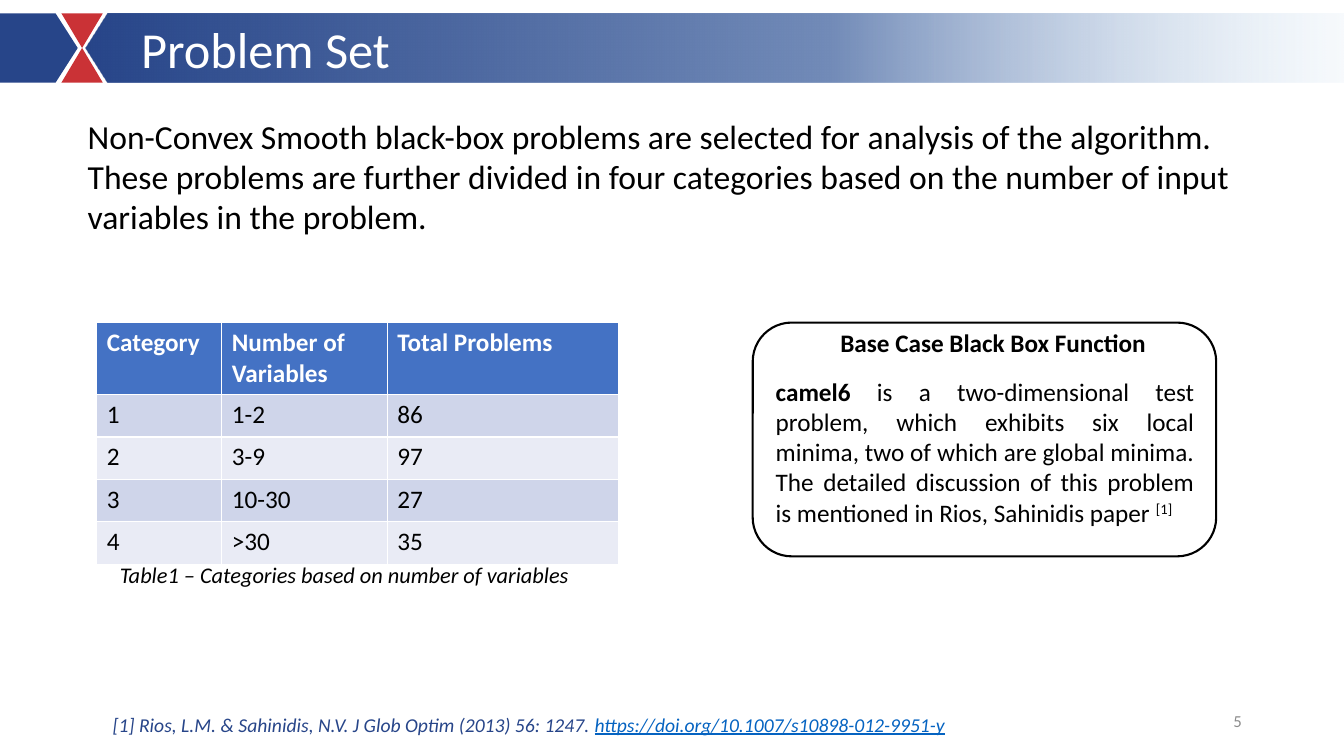
from pptx import Presentation
from pptx.dml.color import RGBColor
from pptx.enum.shapes import MSO_SHAPE as SHAPE
from pptx.enum.text import MSO_ANCHOR as ANCHOR, PP_ALIGN as ALIGN
from pptx.oxml import parse_xml
from pptx.util import Cm, Pt

FONT = "Calibri"
NAVY, RED, BLACK, WHITE = "274589", "CA3236", "000000", "FFFFFF"
HEADER, BANDS = "4472C4", ("CFD5EA", "E9EBF5")
BAR_TOP, BAR_HEIGHT = 0.34, 1.74
STOPS = ((0, NAVY, 100), (59, "728BB8", 100), (100, "CEE1F2", 16))
ROWS = (
    ("Category", "Number of Variables", "Total Problems"),
    ("1", "1-2", "86"),
    ("2", "3-9", "97"),
    ("3", "10-30", "27"),
    ("4", ">30", "35"),
)


def rgb(hex_color):
    """Turn a hex string into a colour."""
    return RGBColor.from_string(hex_color)


def style(p, size, color=BLACK, bold=False, italic=False, align=ALIGN.LEFT):
    """Set the font and alignment of a paragraph."""
    p.alignment = align
    p.font.name, p.font.size = FONT, Pt(size)
    p.font.bold, p.font.italic = bold, italic
    p.font.color.rgb = rgb(color)


def add_text(slide, box, text, size, anchor=ANCHOR.TOP, **look):
    """Add a wrapping text box and return its paragraph."""
    tf = slide.shapes.add_textbox(*map(Cm, box)).text_frame
    tf.word_wrap, tf.vertical_anchor = True, anchor
    p = tf.paragraphs[0]
    p.text = text
    style(p, size, **look)
    return p


def add_run(p, text):
    """Append a run and return its font."""
    r = p.add_run()
    r.text = text
    return r.font


def add_shape(slide, kind, box, fill=None, line=None):
    """Add a preset shape with an optional fill and outline."""
    sp = slide.shapes.add_shape(kind, *map(Cm, box))
    sp.shadow.inherit = False
    if fill:
        sp.fill.solid()
        sp.fill.fore_color.rgb = rgb(fill)
    else:
        sp.fill.background()
    if line:
        sp.line.color.rgb, sp.line.width = rgb(line), Pt(1.5)
    else:
        sp.line.fill.background()
    return sp


def set_gradient(sp, stops, angle):
    """Replace a shape's empty fill with a linear gradient."""
    gs = "".join(
        f'<a:gs pos="{pos * 1000}"><a:srgbClr val="{color}">'
        f'<a:alpha val="{alpha * 1000}"/></a:srgbClr></a:gs>'
        for pos, color, alpha in stops
    )
    grad = parse_xml(
        '<a:gradFill xmlns:a="http://schemas.openxmlformats.org/drawingml/2006/main"'
        f' rotWithShape="1"><a:gsLst>{gs}</a:gsLst>'
        f'<a:lin ang="{angle * 60000}" scaled="0"/></a:gradFill>'
    )
    sp_pr = sp._element.spPr
    sp_pr.replace(sp_pr.find("{*}noFill"), grad)


def add_title_bar(slide, title):
    """Add the hourglass emblem and the title arrows beside it."""
    add_shape(slide, SHAPE.FLOWCHART_COLLATE, (1.55, BAR_TOP, 1.04, BAR_HEIGHT), RED)
    left = add_shape(slide, SHAPE.PENTAGON, (0, BAR_TOP, 1.96, BAR_HEIGHT), NAVY)
    bar = add_shape(slide, SHAPE.PENTAGON, (2.16, BAR_TOP, 31.71, BAR_HEIGHT))
    for sp in (left, bar):
        sp.adjustments[0] = 0.32
    bar._element.spPr.xfrm.set("flipH", "1")
    set_gradient(bar, STOPS, 180)
    tf = bar.text_frame
    tf.margin_left, tf.vertical_anchor = Cm(1.12), ANCHOR.MIDDLE
    tf.text = title
    style(tf.paragraphs[0], 36, WHITE)


def add_category_table(slide):
    """Add the banded table of problem categories."""
    table = slide.shapes.add_table(
        len(ROWS), len(ROWS[0]), Cm(2.44), Cm(8.13), Cm(13.16), Cm(6.09)
    ).table
    for column, width in zip(table.columns, (3.15, 4.17, 5.84)):
        column.width = Cm(width)
    for i, values in enumerate(ROWS):
        head = i == 0
        table.rows[i].height = Cm(1.81 if head else 1.07)
        for cell, value in zip(table.rows[i].cells, values):
            cell.text = value
            cell.fill.solid()
            cell.fill.fore_color.rgb = rgb(HEADER if head else BANDS[(i - 1) % 2])
            style(cell.text_frame.paragraphs[0], 18, WHITE if head else BLACK, bold=head)


def add_base_case(slide):
    """Add the rounded panel that describes the base case function."""
    p = add_text(slide, (19.3, 9.35, 11.05, 4.11), "", 18, align=ALIGN.JUSTIFY)
    add_run(p, "camel6").bold = True
    add_run(p, " is a two-dimensional test problem, which exhibits six local minima, "
               "two of which are global minima. The detailed discussion of this "
               "problem is mentioned in Rios, Sahinidis paper ")
    add_run(p, "[1]")._element.set("baseline", "30000")
    add_shape(slide, SHAPE.ROUNDED_RECTANGLE, (18.97, 8.13, 11.68, 5.89), line=BLACK)
    add_text(slide, (20.93, 8.13, 11.05, 1.02), "Base Case Black Box Function", 18,
             bold=True, align=ALIGN.JUSTIFY)


def add_reference(slide):
    """Add the cited paper with its underlined address."""
    p = add_text(slide, (2.59, 17.83, 21.8, 1.1),
                 "[1] Rios, L.M. & Sahinidis, N.V. J Glob Optim (2013) 56: 1247. ",
                 14, color=NAVY, italic=True)
    font = add_run(p, "https://doi.org/10.1007/s10898-012-9951-y")
    font.underline, font.color.rgb = True, rgb("0563C1")


def main():
    """Build the slide and save it."""
    prs = Presentation()
    prs.slide_width, prs.slide_height = Cm(33.87), Cm(19.05)
    slide = prs.slides.add_slide(prs.slide_layouts[6])
    add_category_table(slide)
    add_base_case(slide)
    add_text(slide, (2.77, 14.02, 12, 0.94),
             "Table1 – Categories based on number of variables", 16, italic=True)
    add_reference(slide)
    add_title_bar(slide, "Problem Set")
    add_text(slide, (1.96, 2.79, 29.97, 4.37),
             "Non-Convex Smooth black-box problems are selected for analysis of the "
             "algorithm. These problems are further divided in four categories based "
             "on the number of input variables in the problem.", 24)
    add_text(slide, (23.93, 17.65, 7.62, 1.02), "5", 12, ANCHOR.MIDDLE,
             color="8C8C8C", align=ALIGN.RIGHT)
    prs.save("out.pptx")


main()
